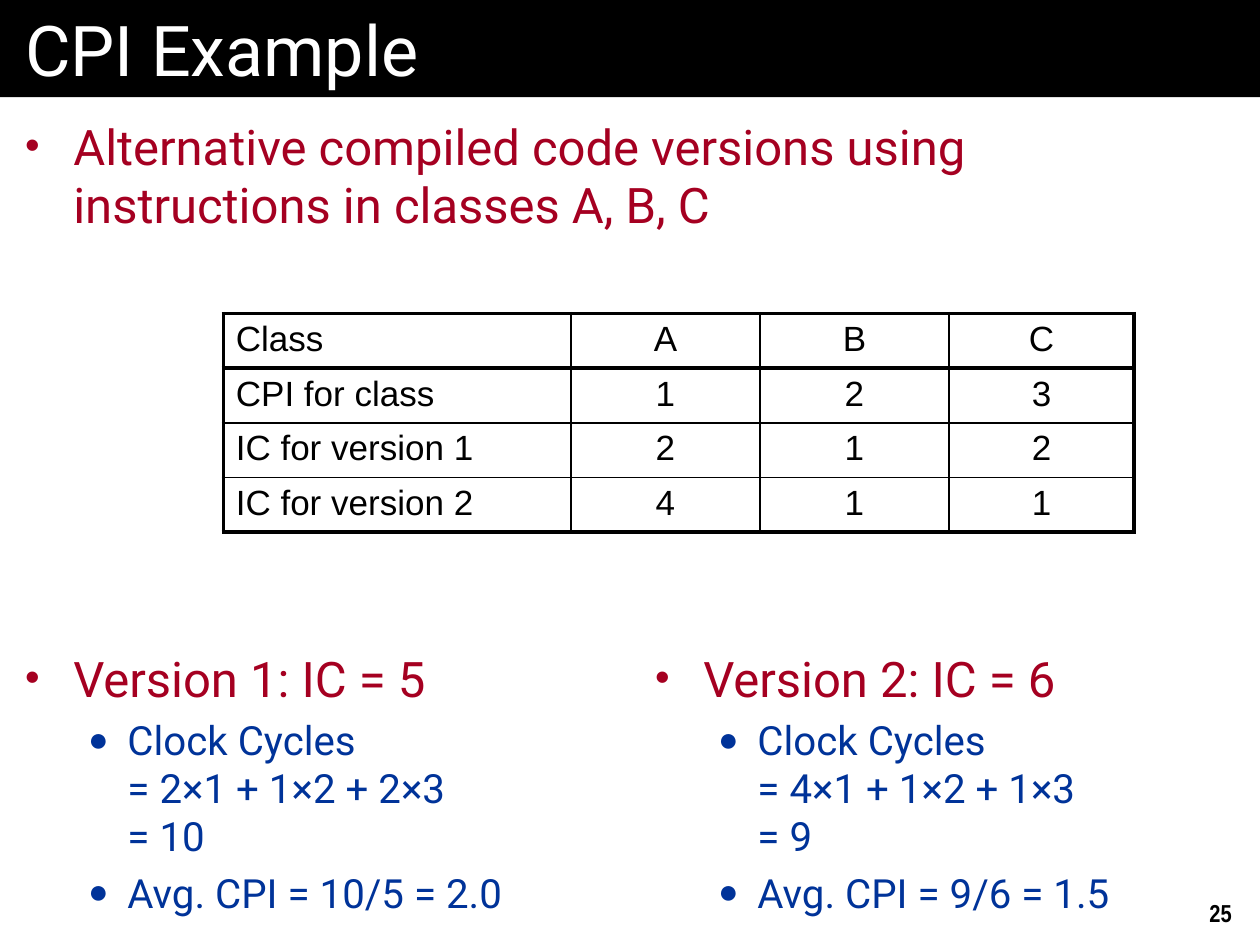
"""Build the CPI example slide with its class table and two version summaries."""
from lxml.etree import SubElement
from pptx import Presentation
from pptx.dml.color import RGBColor
from pptx.enum.shapes import MSO_SHAPE as Shape
from pptx.enum.text import MSO_ANCHOR as Anchor, PP_ALIGN as Align
from pptx.oxml.ns import qn
from pptx.util import Cm, Pt

BLACK = RGBColor(0, 0, 0)
WHITE = RGBColor(255, 255, 255)
RED = RGBColor(0xA5, 0x00, 0x21)
BLUE = RGBColor(0x00, 0x33, 0x99)

WIDTH, HEIGHT, TITLE_HEIGHT = 25.4, 19.05, 1.96
HALF = WIDTH / 2
THIN, THICK = 1, 2.25

TITLE = "CPI Example"
PAGE_NUMBER = "25"
INTRO = [(0, "Alternative compiled code versions using instructions in classes A, B, C")]
VERSIONS = [
    [(0, "Version 1: IC = 5"),
     (1, "Clock Cycles\n= 2×1 + 1×2 + 2×3\n= 10"),
     (1, "Avg. CPI = 10/5 = 2.0")],
    [(0, "Version 2: IC = 6"),
     (1, "Clock Cycles\n= 4×1 + 1×2 + 1×3\n= 9"),
     (1, "Avg. CPI = 9/6 = 1.5")],
]
ROWS = [
    ("Class", "A", "B", "C"),
    ("CPI for class", "1", "2", "3"),
    ("IC for version 1", "2", "1", "2"),
    ("IC for version 2", "4", "1", "1"),
]
COLUMN_WIDTHS = (7.01, 3.81, 3.81, 3.73)
ROW_HEIGHT = 1.1

TITLE_FONT = {"name": "Roboto", "size": Pt(40), "color": WHITE}
CELL_FONT = {"name": "Arial", "size": Pt(20), "color": BLACK}
NUMBER_FONT = {"name": "Arial Narrow", "size": Pt(14), "bold": True, "color": BLACK}
LEVELS = [
    {"bullet": "•", "left": 0.97, "hang": 0.97,
     "font": {"name": "Roboto", "size": Pt(28), "color": RED}},
    {"bullet": "●", "left": 2.06, "hang": 0.79,
     "font": {"name": "Roboto", "size": Pt(23), "color": BLUE}},
]


def write(para, text, font, before=20):
    para.text = text
    spacing = SubElement(para._p.get_or_add_pPr(), qn("a:spcBef"))
    SubElement(spacing, qn("a:spcPct"), val=str(before * 1000))
    for span in para.runs:
        for key, value in font.items():
            if key == "color":
                span.font.color.rgb = value
            else:
                setattr(span.font, key, value)


def set_frame(frame, side, end, anchor=Anchor.TOP):
    values = {"margin_left": Cm(side), "margin_right": Cm(side), "margin_top": Cm(end),
              "margin_bottom": Cm(end), "vertical_anchor": anchor, "word_wrap": True}
    for key, value in values.items():
        setattr(frame, key, value)


def add_bullets(page, items, left, top, width, height, anchor=Anchor.TOP):
    frame = page.shapes.add_textbox(Cm(left), Cm(top), Cm(width), Cm(height)).text_frame
    set_frame(frame, 0.51, 0.38, anchor)
    for index, (level, text) in enumerate(items):
        style = LEVELS[level]
        para = frame.add_paragraph() if index else frame.paragraphs[0]
        para.level = level
        write(para, text, style["font"])
        props = para._p.get_or_add_pPr()
        props.set("marL", str(Cm(style["left"])))
        props.set("indent", str(-Cm(style["hang"])))
        color = SubElement(props, qn("a:buClr"))
        SubElement(color, qn("a:srgbClr"), val=str(style["font"]["color"]))
        SubElement(props, qn("a:buSzPct"), val="85000")
        SubElement(props, qn("a:buFont"), typeface="Arial")
        SubElement(props, qn("a:buChar"), char=style["bullet"])


def set_borders(cell, widths):
    for side, width in widths.items():
        line = SubElement(cell._tc.get_or_add_tcPr(), qn(f"a:ln{side}"), w=str(Pt(width)))
        fill = SubElement(line, qn("a:solidFill"))
        SubElement(fill, qn("a:srgbClr"), val=str(BLACK))


def add_class_table(page, left, top):
    last_row, last_col = len(ROWS) - 1, len(COLUMN_WIDTHS) - 1
    table = page.shapes.add_table(
        len(ROWS), len(COLUMN_WIDTHS), Cm(left), Cm(top),
        Cm(sum(COLUMN_WIDTHS)), Cm(ROW_HEIGHT * len(ROWS))).table
    table.first_row = table.horz_banding = False
    for column, width in zip(table.columns, COLUMN_WIDTHS):
        column.width = Cm(width)
    for r, texts in enumerate(ROWS):
        table.rows[r].height = Cm(ROW_HEIGHT)
        for c, text in enumerate(texts):
            cell = table.cell(r, c)
            para = cell.text_frame.paragraphs[0]
            para.alignment = Align.CENTER if c else Align.LEFT
            write(para, text, CELL_FONT)
            set_borders(cell, {
                "L": THIN if c else THICK,
                "R": THICK if c == last_col else THIN,
                "T": THICK if r < 2 else THIN,
                "B": THICK if r in (0, last_row) else THIN,
            })
            cell.fill.background()


def main():
    deck = Presentation()
    deck.slide_width, deck.slide_height = Cm(WIDTH), Cm(HEIGHT)
    page = deck.slides.add_slide(deck.slide_layouts[6])

    banner = page.shapes.add_shape(Shape.RECTANGLE, 0, 0, Cm(WIDTH), Cm(TITLE_HEIGHT))
    banner.shadow.inherit = False
    banner.fill.solid()
    banner.fill.fore_color.rgb = BLACK
    banner.line.fill.background()
    set_frame(banner.text_frame, 0.51, 0.13, Anchor.MIDDLE)
    heading = banner.text_frame.paragraphs[0]
    heading.alignment = Align.LEFT
    write(heading, TITLE, TITLE_FONT, 0)

    add_bullets(page, INTRO, 0, TITLE_HEIGHT, WIDTH, 7.98)
    add_class_table(page, 4.5, 6.32)
    for index, items in enumerate(VERSIONS):
        add_bullets(page, items, index * HALF, 10.59, HALF, 8.26, Anchor.BOTTOM)

    number = page.shapes.add_textbox(Cm(24.13), Cm(17.98), Cm(1.07), Cm(0.84)).text_frame
    set_frame(number, 0.25, 0.13)
    write(number.paragraphs[0], PAGE_NUMBER, NUMBER_FONT, 50)
    deck.save("out.pptx")


if __name__ == "__main__":
    main()
